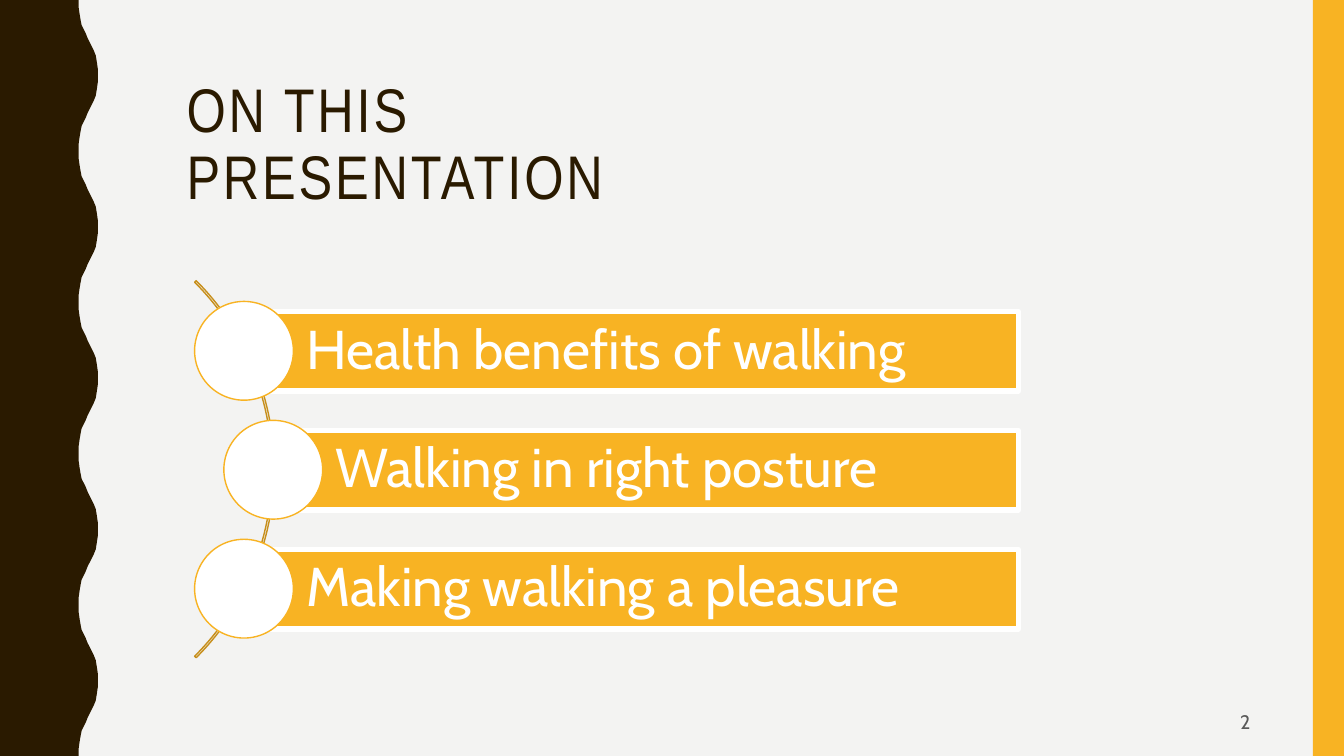
import pptx
import pptx.dml.color
import pptx.enum.shapes
import pptx.enum.text
import pptx.util

PX = 9144  # EMU per px, 100 px to the inch
SLIDE_WIDTH, SLIDE_HEIGHT = 1333, 750
COLORS = {
    "background": "F3F3F2",
    "brown": "2A1A00",
    "amber": "F8B323",
    "dark_amber": "C78F1C",
    "white": "FFFFFF",
    "grey": "595959",
}
SHAPES = pptx.enum.shapes.MSO_SHAPE
ALIGN = pptx.enum.text.PP_ALIGN
TOPICS = [
    "Health benefits of walking",
    "Walking in right posture",
    "Making walking a pleasure",
]
FRAME_FORMAT = {
    "word_wrap": True,
    "auto_size": pptx.enum.text.MSO_AUTO_SIZE.NONE,
    "vertical_anchor": pptx.enum.text.MSO_ANCHOR.MIDDLE,
}
TITLE_FONT = {"name": "Arial Narrow", "size": pptx.util.Pt(44)}
TOPIC_FONT = {"name": "Cabin", "size": pptx.util.Pt(39)}
NUMBER_FONT = {"name": "Cabin", "size": pptx.util.Pt(14)}


def rgb(color):
    return pptx.dml.color.RGBColor.from_string(COLORS[color])


def set_attributes(target, values):
    for name, value in values.items():
        setattr(target, name, value)


def place(shape, box):
    lengths = [pptx.util.Emu(length * PX) for length in box]
    set_attributes(shape, dict(zip(("left", "top", "width", "height"), lengths)))


def style(shape, fill=None, line=None, line_width=1):
    shape.shadow.inherit = False
    if fill:
        shape.fill.solid()
        shape.fill.fore_color.rgb = rgb(fill)
    else:
        shape.fill.background()
    if line:
        shape.line.color.rgb = rgb(line)
        shape.line.width = pptx.util.Pt(line_width)
    else:
        shape.line.fill.background()


def add_shape(slide, kind, box, **look):
    shape = slide.shapes.add_shape(kind, *(length * PX for length in box))
    style(shape, **look)
    return shape


def write(shape, text, font, color, alignment=ALIGN.LEFT, line_spacing=0.9):
    set_attributes(shape.text_frame, FRAME_FORMAT)
    paragraph = shape.text_frame.paragraphs[0]
    set_attributes(paragraph, {"alignment": alignment, "line_spacing": line_spacing})
    run = paragraph.add_run()
    run.text = text
    set_attributes(run.font, font)
    run.font.color.rgb = rgb(color)
    return run


def add_wavy_edge(slide, box):
    """Dark band whose right side repeats one wave down the slide."""
    left, top, width, height = box
    period = 150
    # Distance left of the crest and depth, from trough to crest
    rise = [(19, 0), (19, 7), (18, 14), (17, 20), (16, 25), (14, 29), (12, 33), (10, 38),
            (8, 42), (6, 46), (4, 50), (2, 55), (1, 61), (0, 68), (0, 75)]
    wave = rise + [(inset, period - depth) for inset, depth in reversed(rise[:-1])]
    points = [
        (left + width - inset, top + start + depth)
        for start in range(0, height, period)
        for inset, depth in wave
    ]
    builder = slide.shapes.build_freeform(left, top, scale=PX)
    builder.add_line_segments(points + [(left, top + height)], close=True)
    style(builder.convert_to_shape(), fill="brown")


def add_title(slide, box):
    title = slide.shapes.title
    place(title, box)
    run = write(title, "ON THIS PRESENTATION", TITLE_FONT, "brown")
    run.font._element.set("spc", "200")


def add_topic_list(slide, box):
    """Bars with circles that follow an arc on their left."""
    left, top, width, height = box
    circle, bar_height, pitch, shift = 98, 79, 118, 29

    # Arc behind the bars
    diameter = 529
    arc_box = (left - 450, top + (height - diameter) // 2, diameter, diameter)
    arc = add_shape(slide, SHAPES.BLOCK_ARC, arc_box, line="dark_amber")
    for index, value in enumerate((189, 27, 0.004)):
        arc.adjustments[index] = value

    first_center = top + height // 2 - pitch
    for index, topic in enumerate(TOPICS):
        center = first_center + index * pitch
        circle_left = left + shift * (index % 2)
        bar_left = circle_left + circle // 2

        # Bar with its text
        bar_box = (bar_left, center - bar_height // 2, left + width - bar_left, bar_height)
        bar = add_shape(slide, SHAPES.RECTANGLE, bar_box,
                        fill="amber", line="white", line_width=4)
        margins = {"margin_left": 62, "margin_top": 11, "margin_right": 11, "margin_bottom": 11}
        set_attributes(bar.text_frame, {name: size * PX for name, size in margins.items()})
        write(bar, topic, TOPIC_FONT, "white")

        # Circle over the start of the bar
        circle_box = (circle_left, center - circle // 2, circle, circle)
        add_shape(slide, SHAPES.OVAL, circle_box, fill="white", line="amber")


def add_slide_number(slide, box):
    number = slide.shapes.add_textbox(*(length * PX for length in box))
    write(number, "2", NUMBER_FONT, "grey", ALIGN.RIGHT, 1.0)


def main():
    presentation = pptx.Presentation()
    presentation.slide_width = SLIDE_WIDTH * PX
    presentation.slide_height = SLIDE_HEIGHT * PX
    slide = presentation.slides.add_slide(presentation.slide_layouts[5])
    slide.background.fill.solid()
    slide.background.fill.fore_color.rgb = rgb("background")

    # Side bands
    add_wavy_edge(slide, (0, 0, 97, SLIDE_HEIGHT))
    add_shape(slide, SHAPES.RECTANGLE, (SLIDE_WIDTH - 31, 0, 31, SLIDE_HEIGHT), fill="amber")

    # Content
    add_title(slide, (175, 57, 576, 176))
    add_topic_list(slide, (193, 270, 817, 392))
    add_slide_number(slide, (942, 697, 308, 38))

    presentation.save("out.pptx")


if __name__ == "__main__":
    main()
